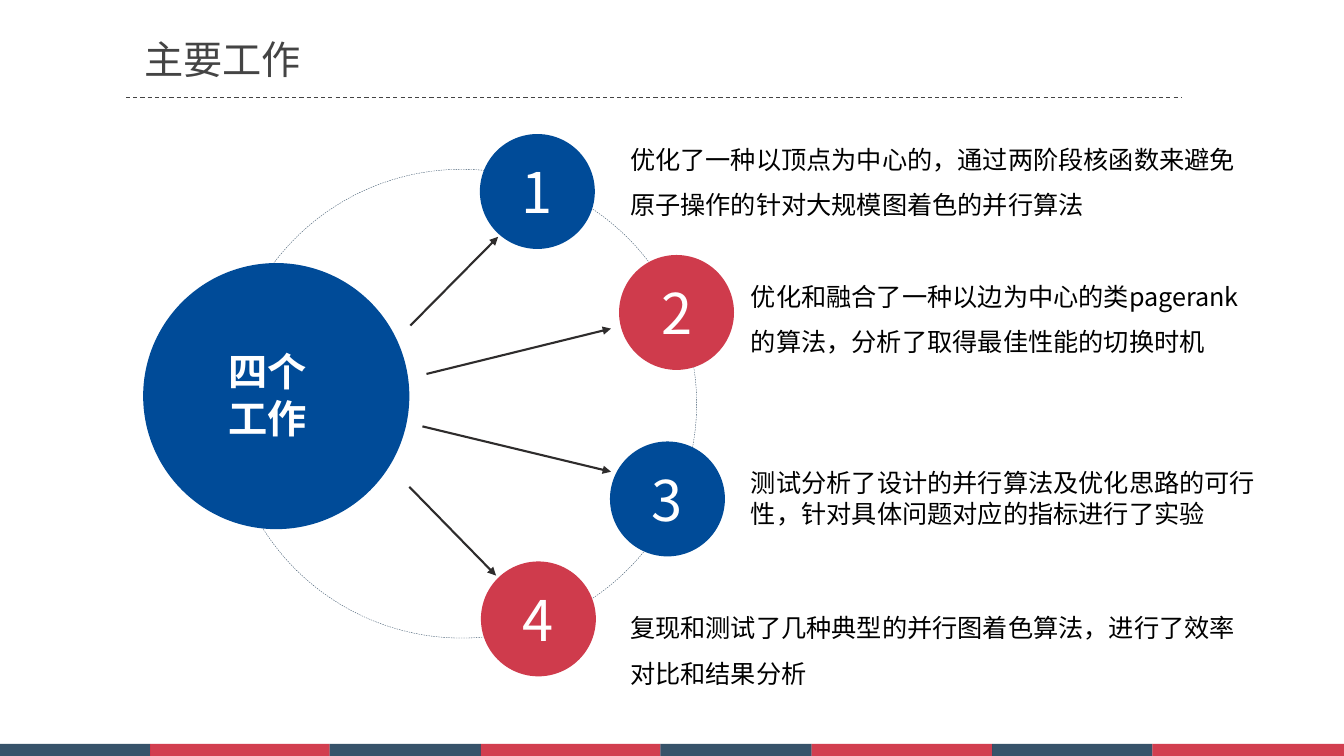
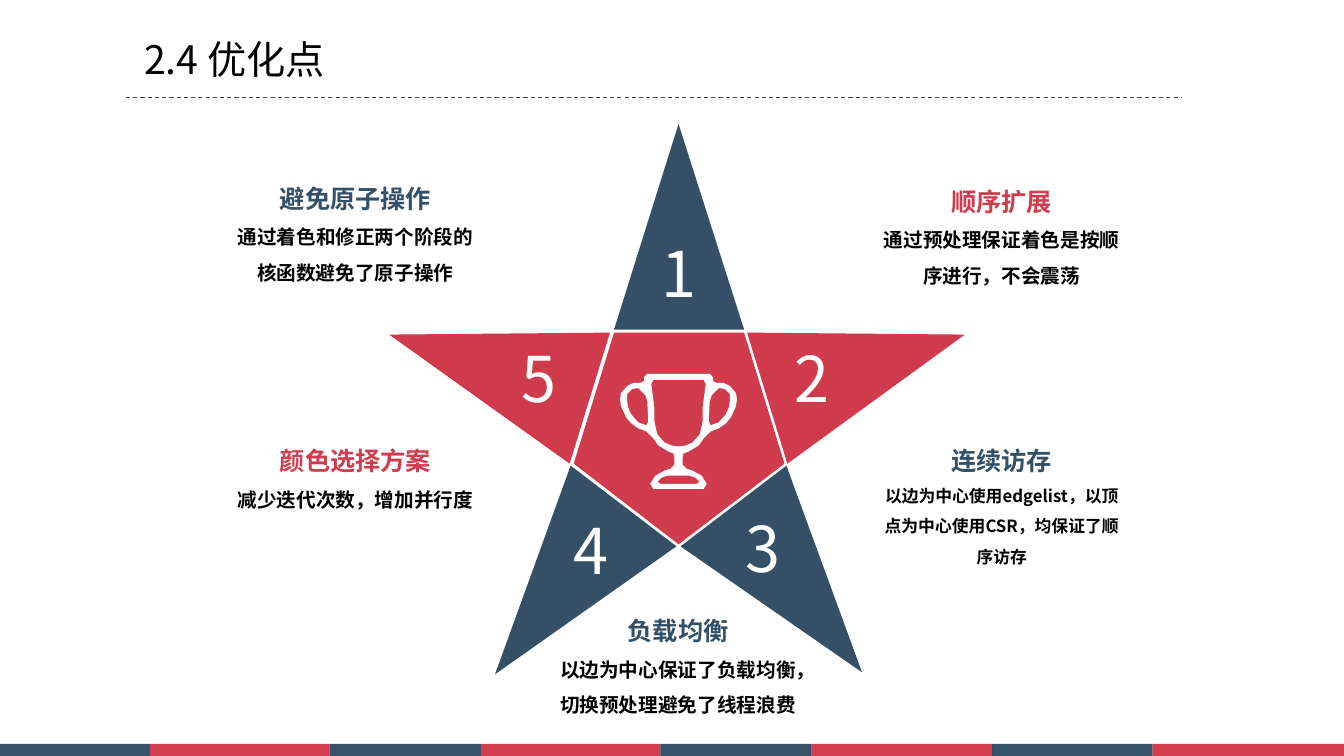
from itertools import cycle, pairwise

from lxml.etree import SubElement
from pptx import Presentation
from pptx.dml.color import RGBColor
from pptx.enum.dml import MSO_LINE
from pptx.enum.shapes import MSO_CONNECTOR, MSO_SHAPE
from pptx.enum.text import MSO_ANCHOR, MSO_AUTO_SIZE, PP_ALIGN
from pptx.oxml.ns import qn
from pptx.util import Inches, Pt

FONT = "Noto Sans CJK SC"
HUES = {
    "navy": "062845", "crimson": "C70E23", "slate": "344F66", "blue": "004B98",
    "red": "CF3B4C", "rose": "D03C4D", "gray": "444444", "ink": "2E2C2C",
    "black": "000000", "white": "FFFFFF",
}
BANDS = [0, 1.49, 3.27, 4.77, 6.55, 8.05, 9.84, 11.43, 13.33]


class Deck:
    """Hold the deck style and the current slide."""

    def __init__(self):
        self.show = Presentation()
        self.show.slide_width = Inches(13.33)
        self.show.slide_height = Inches(7.5)

    def page(self, title, hue):
        self.slide = self.show.slides.add_slide(self.show.slide_layouts[5])
        self.shapes = self.slide.shapes
        for (left, right), tone in zip(pairwise(BANDS), cycle(["navy", "crimson"])):
            band = self.shape(MSO_SHAPE.RECTANGLE, (left, 7.38, right - left, 0.12), tone)
            color = band._element.spPr.find(qn("a:solidFill"))[0]
            SubElement(color, qn("a:alpha"), val="80000")
        self.line((1.25, 0.97), (11.72, 0.97), "gray", 0.75).line.dash_style = MSO_LINE.DASH
        head = self.shapes.title
        head.left, head.top, head.width, head.height = map(Inches, (1.43, 0.35, 3.99, 0.47))
        self.words(head.text_frame, [(title, 28, hue, False)], inset=(0, 0, 0, 0))

    def words(self, frame, lines, align=PP_ALIGN.LEFT, space=1.0,
              inset=(0.1, 0.05, 0.1, 0.05), anchor=MSO_ANCHOR.TOP):
        frame.word_wrap = True
        frame.auto_size = MSO_AUTO_SIZE.NONE
        frame.vertical_anchor = anchor
        (frame.margin_left, frame.margin_top,
         frame.margin_right, frame.margin_bottom) = map(Inches, inset)
        for index, (text, size, hue, bold) in enumerate(lines):
            para = frame.add_paragraph() if index else frame.paragraphs[0]
            para.text = text
            para.alignment = align
            para.line_spacing = space
            font = para.font
            font.size, font.bold = Pt(size), bold
            font.color.rgb = RGBColor.from_string(HUES[hue])
            font.name = FONT
            SubElement(para._p.pPr.find(qn("a:defRPr")), qn("a:ea"), typeface=FONT)

    def text(self, box, lines, **style):
        self.words(self.shapes.add_textbox(*map(Inches, box)).text_frame, lines, **style)

    def paint(self, shape, hue):
        shape.shadow.inherit = False
        shape.line.fill.background()
        if hue:
            shape.fill.solid()
            shape.fill.fore_color.rgb = RGBColor.from_string(HUES[hue])
        else:
            shape.fill.background()
        return shape

    def shape(self, kind, box, hue):
        return self.paint(self.shapes.add_shape(kind, *map(Inches, box)), hue)

    def ring(self, box, hue):
        line = self.shape(MSO_SHAPE.OVAL, box, None).line
        line.color.rgb = RGBColor.from_string(HUES[hue])
        line.width, line.dash_style = Pt(0.25), MSO_LINE.DASH

    def disc(self, box, hue, label):
        disc = self.shape(MSO_SHAPE.OVAL, box, hue)
        self.words(disc.text_frame, [(label, 40, "white", False)], PP_ALIGN.CENTER,
                   inset=(0, 0, 0, 0), anchor=MSO_ANCHOR.MIDDLE)

    def line(self, start, end, hue, width):
        line = self.shapes.add_connector(MSO_CONNECTOR.STRAIGHT, *map(Inches, start + end))
        line.line.color.rgb = RGBColor.from_string(HUES[hue])
        line.line.width = Pt(width)
        SubElement(line._element.spPr, qn("a:effectLst"))
        return line

    def arrow(self, start, end):
        line = self.line(start, end, "ink", 1.5)
        SubElement(line._element.spPr.find(qn("a:ln")), qn("a:tailEnd"), type="triangle")

    def outline(self, loops, hue):
        loops = [[(Inches(x), Inches(y)) for x, y in loop] for loop in loops]
        pen = self.shapes.build_freeform(*loops[0][0])
        pen.add_line_segments(loops[0][1:], close=True)
        for loop in loops[1:]:
            pen.move_to(*loop[0])
            pen.add_line_segments(loop[1:], close=True)
        return self.paint(pen.convert_to_shape(), hue)

    def point(self, label, hue, spots, center):
        tip = self.outline([spots], hue)
        shift = [2 * (mid - (min(axis) + max(axis)) / 2)
                 for mid, axis in zip(center, zip(*spots))]
        inset = [max(side, 0) for side in (*shift, -shift[0], -shift[1])]
        self.words(tip.text_frame, [(label, 45, "white", False)], PP_ALIGN.CENTER,
                   inset=inset, anchor=MSO_ANCHOR.MIDDLE)


def mirror(half, axis):
    return ([(axis + x, y) for x, y in half]
            + [(axis - x, y) for x, y in reversed(half) if x])


def work(deck):
    deck.page("主要工作", "gray")
    deck.ring((2.25, 1.68, 4.66, 4.65), "slate")
    tasks = [
        ("blue", (4.76, 1.33), (4.07, 3.23), (4.94, 2.35), (6.15, 1.23, 6.28, 0.96), 1.5,
         "优化了一种以顶点为中心的，通过两阶段核函数来避免原子操作的针对大规模图着色的并行算法"),
        ("red", (6.14, 2.53), (4.23, 3.71), (6.06, 3.26), (7.35, 2.59, 5.1, 0.96), 1.5,
         "优化和融合了一种以边为中心的类pagerank的算法，分析了取得最佳性能的切换时机"),
        ("blue", (6.05, 4.38), (4.19, 4.23), (6.06, 4.68), (7.35, 4.59, 5.25, 0.71), 1.0,
         "测试分析了设计的并行算法及优化思路的可行性，针对具体问题对应的指标进行了实验"),
        ("red", (4.77, 5.57), (4.06, 4.83), (4.92, 5.71), (6.15, 5.88, 6.28, 0.96), 1.5,
         "复现和测试了几种典型的并行图着色算法，进行了效率对比和结果分析"),
    ]
    for rank, (hue, spot, start, end, box, space, text) in enumerate(tasks, 1):
        deck.arrow(start, end)
        deck.disc((*spot, 1.14, 1.14), hue, str(rank))
        deck.text(box, [(text, 18, "black", False)], space=space)
    deck.shape(MSO_SHAPE.OVAL, (1.42, 2.61, 2.64, 2.64), "blue")
    deck.text((2, 3.4, 1.31, 1.04), [("四个工作", 28, "white", True)], align=PP_ALIGN.CENTER)


def star(deck):
    deck.page("2.4 优化点", "black")
    core = [(7.38, 3.3), (6.09, 3.3), (5.69, 4.6), (6.73, 5.4), (7.78, 4.6)]
    deck.outline([core], "rose")
    tips = [
        ("slate", [(6.09, 3.27), (6.73, 1.23), (7.38, 3.27)], (6.73, 2.7)),
        ("red", [(7.41, 3.3), (9.57, 3.32), (7.81, 4.6)], (8.05, 3.74)),
        ("slate", [(7.8, 4.62), (8.55, 6.67), (6.75, 5.42)], (7.57, 5.43)),
        ("slate", [(6.71, 5.42), (4.91, 6.69), (5.66, 4.62)], (5.86, 5.45)),
        ("red", [(5.65, 4.6), (3.86, 3.32), (6.05, 3.3)], (5.35, 3.74)),
    ]
    for rank, (hue, spots, center) in enumerate(tips, 1):
        deck.point(str(rank), hue, spots, center)
    trophy(deck, 6.73)
    notes = [
        (2.23, 1.62, "slate", "避免原子操作", 14, "通过着色和修正两个阶段的核函数避免了原子操作"),
        (2.23, 4.22, "rose", "颜色选择方案", 14, "减少迭代次数，增加并行度"),
        (8.64, 1.65, "rose", "顺序扩展", 14, "通过预处理保证着色是按顺序进行，不会震荡"),
        (8.64, 4.22, "slate", "连续访存", 12,
         "以边为中心使用edgelist，以顶点为中心使用CSR，均保证了顺序访存"),
        (5.43, 5.91, "slate", "负载均衡", 14,
         "以边为中心保证了负载均衡，切换预处理避免了线程浪费"),
    ]
    for left, top, hue, head, size, text in notes:
        deck.text((left, top, 2.59, 1.26),
                  [(head, 18, hue, True), (text, size, "black", True)],
                  align=PP_ALIGN.CENTER, space=1.5)


def trophy(deck, axis):
    rim = [(0, 3.71), (0.31, 3.71), (0.34, 3.74), (0.34, 3.78), (0.38, 3.8), (0.45, 3.8),
           (0.51, 3.83), (0.57, 3.9), (0.58, 3.96), (0.57, 4.03), (0.52, 4.14), (0.47, 4.2),
           (0.4, 4.25), (0.32, 4.28), (0.25, 4.35), (0.2, 4.42), (0.1, 4.48), (0.05, 4.5),
           (0.04, 4.54), (0.04, 4.61), (0.08, 4.65), (0.14, 4.67), (0.23, 4.72),
           (0.28, 4.8), (0.25, 4.85), (0, 4.85)]
    cup = [(0, 3.77), (0.25, 3.77), (0.27, 3.81), (0.24, 4.04), (0.24, 4.18),
           (0.21, 4.31), (0.14, 4.39), (0.07, 4.42), (0, 4.43)]
    grip = [(0.51, 3.97), (0.51, 3.91), (0.46, 3.86), (0.4, 3.85), (0.33, 3.92), (0.31, 3.98),
            (0.3, 4.18), (0.32, 4.22), (0.4, 4.19), (0.47, 4.11), (0.5, 4.04)]
    foot = [(0, 4.72), (0.11, 4.72), (0.17, 4.74), (0.21, 4.78), (0.18, 4.8), (0, 4.8)]
    loops = [mirror(half, axis) for half in (rim, cup, foot)]
    loops += [[(axis + side * x, y) for x, y in grip] for side in (1, -1)]
    deck.outline(loops, "white")


def main():
    deck = Deck()
    work(deck)
    star(deck)
    deck.show.save("out.pptx")


if __name__ == "__main__":
    main()
